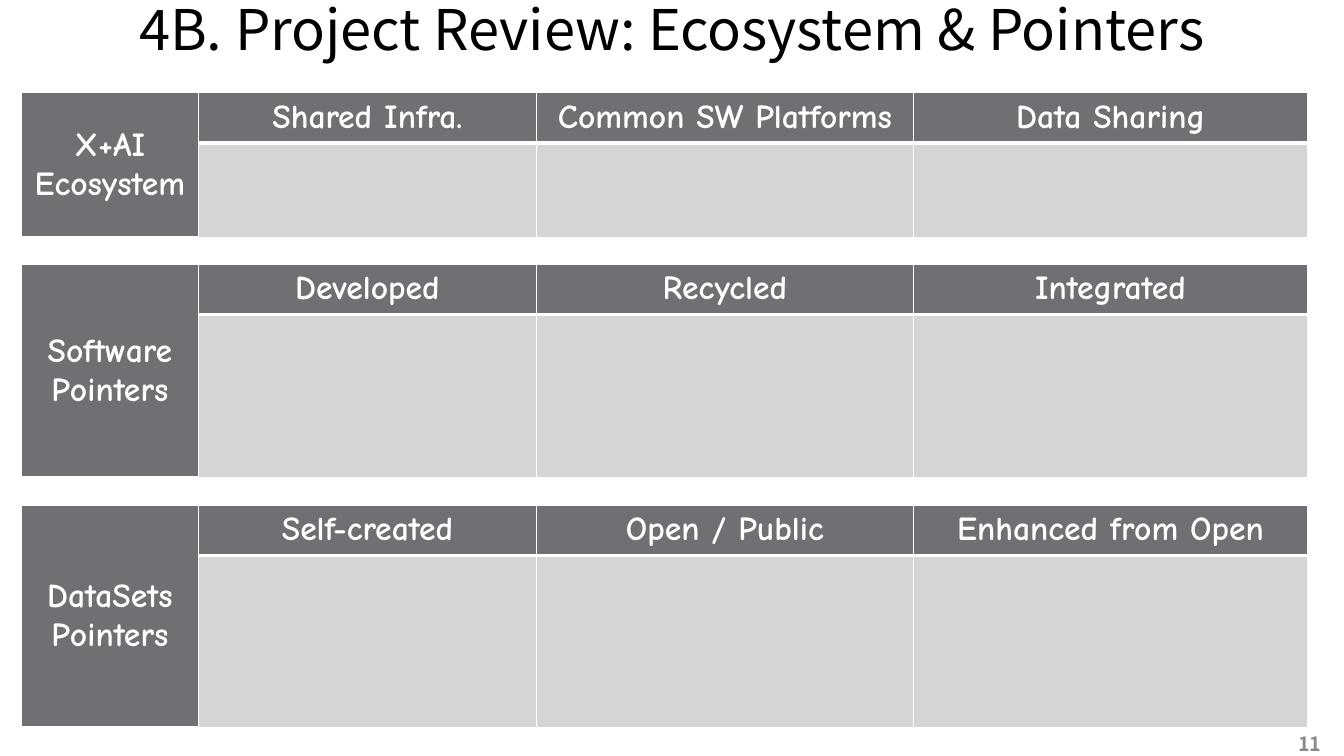
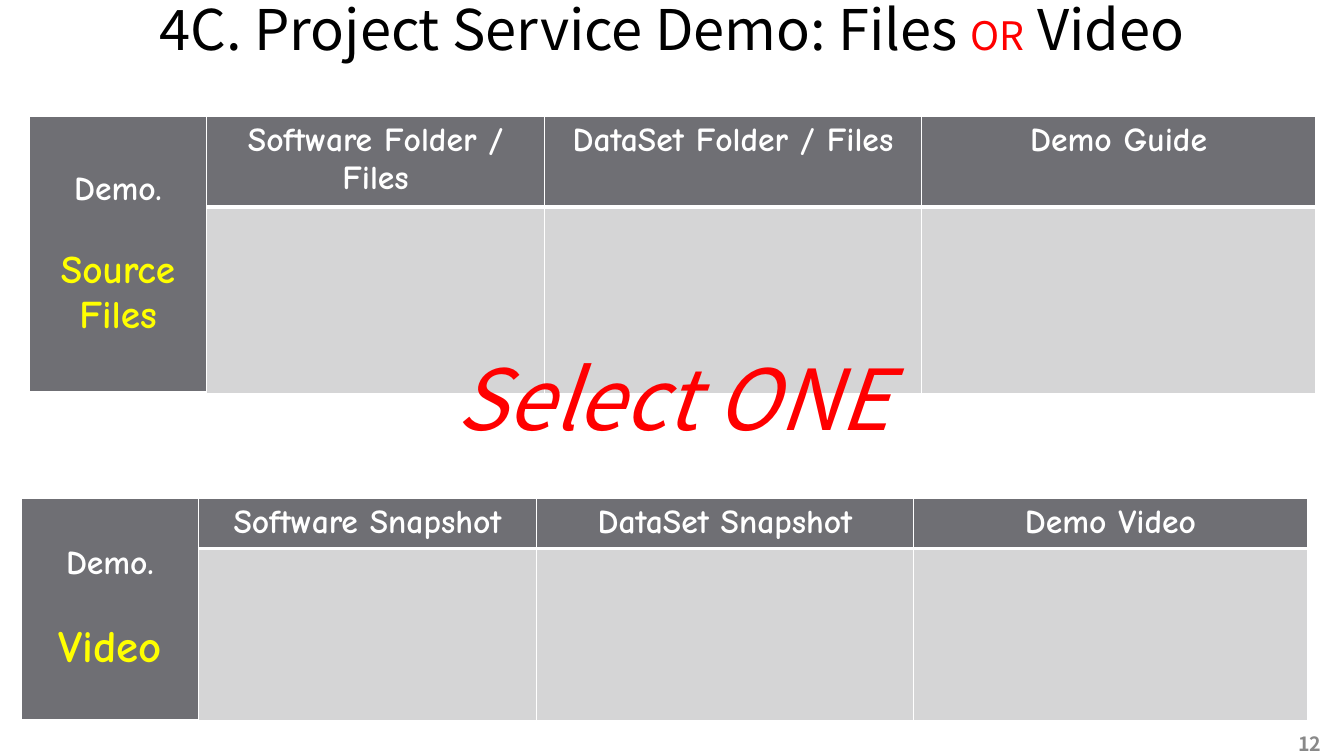
from lxml.etree import SubElement
from pptx import Presentation
from pptx.dml.color import RGBColor
from pptx.enum.text import MSO_ANCHOR, PP_ALIGN
from pptx.oxml.ns import qn
from pptx.util import Emu, Pt

SCALE = 9144
WIDTH, HEIGHT = 1333, 750
COLUMNS = (176, 335, 374, 391)
HEADER_FILL, BODY_FILL, LINE = "6F6F74", "D5D5D6", "FFFFFF"
THIN, THICK = 1, 3
SIDES = ("lnL", "lnR", "lnT", "lnB")

TITLE_FONT, TABLE_FONT = "Noto Sans CJK KR", "Comic Neue"
TITLE = {"name": TITLE_FONT, "size": Pt(40), "color": "000000"}
TITLE_ACCENT = TITLE | {"size": Pt(28), "color": "FF0000"}
NUMBER = {"name": TITLE_FONT, "size": Pt(14), "bold": True, "color": "898989"}
CALLOUT = {"name": TITLE_FONT, "size": Pt(60), "italic": True, "color": "FF0000"}
HEADING = {"name": TABLE_FONT, "size": Pt(24), "bold": True, "color": "FFFFFF"}
FILES_CHOICE = HEADING | {"size": Pt(28), "color": "FFFF00"}
VIDEO_CHOICE = HEADING | {"size": Pt(32), "color": "FFFF00"}

CENTERED = {"alignment": PP_ALIGN.CENTER}
TIGHT = CENTERED | {"line_spacing": 0.9}
SPACED = CENTERED | {"space_before": Pt(28)}


def px(length):
    """Turn px into EMU."""
    return Emu(length * SCALE)


def color(value):
    """Turn a hex string into a colour."""
    return RGBColor.from_string(value)


def apply_format(target, values):
    """Set each format value on a font or a paragraph."""
    for name, value in values.items():
        if name == "color":
            target.color.rgb = color(value)
        else:
            setattr(target, name, value)


def write(text_frame, paragraphs):
    """Write paragraphs given as pairs of a layout and a list of runs."""
    for index, (layout, runs) in enumerate(paragraphs):
        paragraph = text_frame.add_paragraph() if index else text_frame.paragraphs[0]
        apply_format(paragraph, layout)
        for text, style in runs:
            run = paragraph.add_run()
            run.text = text
            apply_format(run.font, style)


def lines(*texts):
    """Make centred heading paragraphs."""
    return [(CENTERED, [(text, HEADING)]) for text in texts]


def add_text(slide, box, paragraphs, anchor=MSO_ANCHOR.MIDDLE):
    """Add a wrapped text box."""
    text_frame = slide.shapes.add_textbox(*map(px, box)).text_frame
    text_frame.word_wrap = True
    text_frame.vertical_anchor = anchor
    write(text_frame, paragraphs)


def style_cell(cell, fill, bottom):
    """Give a cell its white borders and its fill."""
    properties = cell._tc.get_or_add_tcPr()
    for side in SIDES:
        width = bottom if side == "lnB" else THIN
        border = SubElement(properties, qn(f"a:{side}"), w=str(Pt(width)))
        solid = SubElement(border, qn("a:solidFill"))
        SubElement(solid, qn("a:srgbClr"), val=LINE)
    cell.fill.solid()
    cell.fill.fore_color.rgb = color(fill)


def add_review_table(slide, left, top, row_heights, label, headings):
    """Add a table with a label column and headings over empty cells."""
    box = (left, top, sum(COLUMNS), sum(row_heights))
    table = slide.shapes.add_table(2, len(COLUMNS), *map(px, box)).table
    apply_format(table, {"first_row": False, "horz_banding": False})
    for column, width in zip(table.columns, COLUMNS):
        column.width = px(width)
    for row, height in zip(table.rows, row_heights):
        row.height = px(height)

    for row in range(2):
        for column in range(len(COLUMNS)):
            is_heading = row == 0 or column == 0
            style_cell(
                table.cell(row, column),
                HEADER_FILL if is_heading else BODY_FILL,
                THICK if is_heading else THIN,
            )
    label_cell = table.cell(0, 0)
    label_cell.merge(table.cell(1, 0))
    label_cell.vertical_anchor = MSO_ANCHOR.MIDDLE
    write(label_cell.text_frame, label)
    for column, heading in enumerate(headings, 1):
        write(table.cell(0, column).text_frame, lines(heading))


def add_slide(presentation, title_runs, number):
    """Add a blank slide with its title and number."""
    slide = presentation.slides.add_slide(presentation.slide_layouts[6])
    add_text(slide, (0, -3, WIDTH, 71), [(TIGHT, title_runs)])
    add_text(slide, (1265, 723, 68, 30), [(CENTERED, [(number, NUMBER)])])
    return slide


def build_pointers(presentation):
    """Build the ecosystem and pointers slide."""
    title = [("4B. Project Review: Ecosystem & Pointers", TITLE)]
    slide = add_slide(presentation, title, "11")
    tables = (
        (92, 94, ("X+AI", "Ecosystem"),
         ("Shared Infra.", "Common SW Platforms", "Data Sharing")),
        (262, 162, ("Software", "Pointers"),
         ("Developed", "Recycled", "Integrated")),
        (501, 171, ("DataSets", "Pointers"),
         ("Self-created", "Open / Public", "Enhanced from Open")),
    )
    for top, body_height, label, headings in tables:
        add_review_table(slide, 21, top, (48, body_height), lines(*label), headings)


def build_demo(presentation):
    """Build the service demo slide."""
    title = [
        ("4C. Project Service Demo: Files ", TITLE),
        ("OR", TITLE_ACCENT),
        (" Video", TITLE),
    ]
    slide = add_slide(presentation, title, "12")
    files_label = lines("Demo.") + [
        (SPACED, [("Source", FILES_CHOICE)]),
        (CENTERED, [("Files", FILES_CHOICE)]),
    ]
    video_label = lines("Demo.") + [(SPACED, [("Video", VIDEO_CHOICE)])]
    add_review_table(
        slide, 29, 115, (86, 185), files_label,
        ("Software Folder / Files", "DataSet Folder / Files", "Demo Guide"),
    )
    add_review_table(
        slide, 21, 494, (48, 171), video_label,
        ("Software Snapshot", "DataSet Snapshot", "Demo Video"),
    )
    callout = [(TIGHT, [("Select ONE", CALLOUT)])]
    add_text(slide, (67, 350, 1200, 118), callout, MSO_ANCHOR.TOP)


def main():
    """Build and save the presentation."""
    presentation = Presentation()
    presentation.slide_width = px(WIDTH)
    presentation.slide_height = px(HEIGHT)
    build_pointers(presentation)
    build_demo(presentation)
    presentation.save("out.pptx")


if __name__ == "__main__":
    main()
